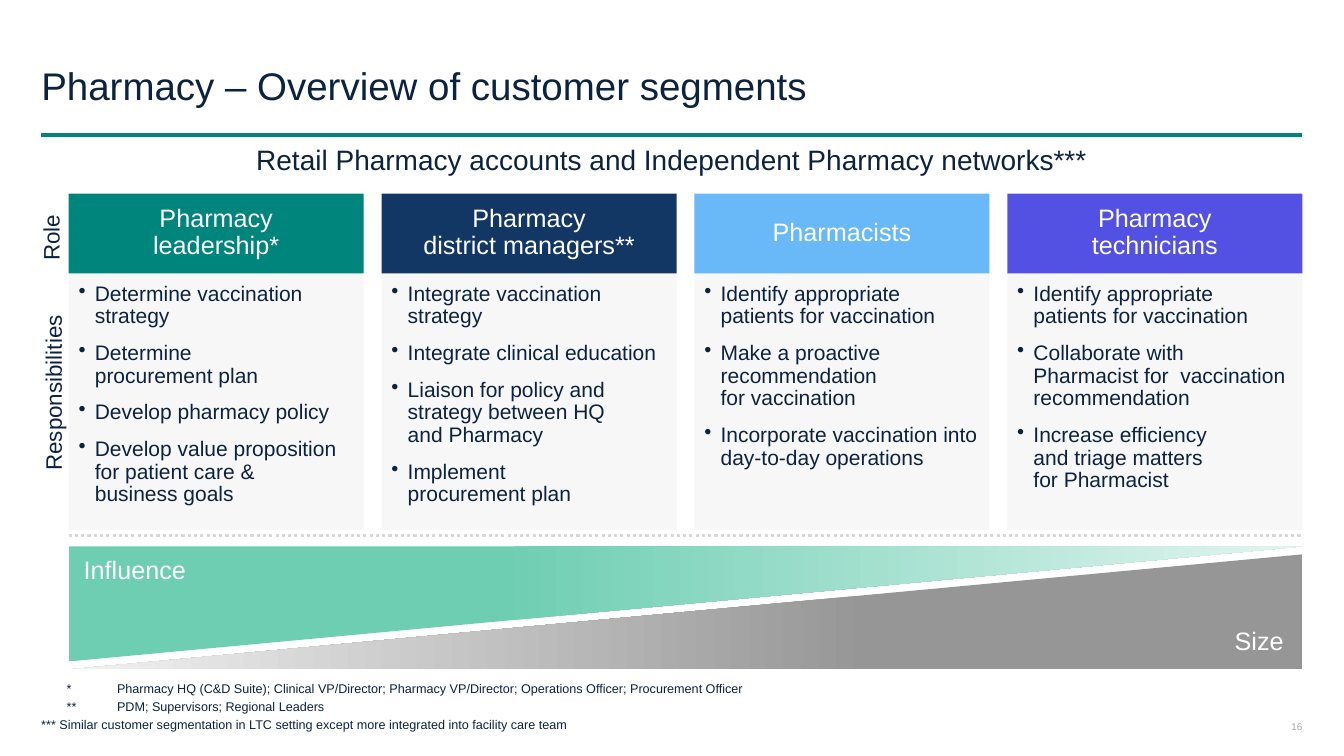
import copy
import pptx
import pptx.dml.color
import pptx.enum.dml
import pptx.enum.shapes
import pptx.enum.text
import pptx.oxml
import pptx.oxml.ns
import pptx.util

Cm = pptx.util.Cm
Pt = pptx.util.Pt
Kind = pptx.enum.shapes.MSO_SHAPE
Align = pptx.enum.text.PP_ALIGN
Anchor = pptx.enum.text.MSO_ANCHOR

HUES = {
    "navy": "0C2340", "teal": "00857C", "deep": "133765", "sky": "69B8F7",
    "violet": "5350E4", "pale": "F7F7F7", "white": "FFFFFF", "dots": "D9D9D9",
    "mint": "6ECEB2", "haze": "E2F5F0", "gray": "969696", "mist": "F2F2F2",
    "page": "9EA7B3",
}

CARDS = [
    ("Pharmacy\nleadership*", "teal", [
        "Determine vaccination strategy",
        "Determine \nprocurement plan",
        "Develop pharmacy policy",
        "Develop value proposition for patient care & \nbusiness goals",
    ]),
    ("Pharmacy\ndistrict managers**", "deep", [
        "Integrate vaccination strategy",
        "Integrate clinical education",
        "Liaison for policy and strategy between HQ \nand Pharmacy",
        "Implement \nprocurement plan",
    ]),
    ("Pharmacists", "sky", [
        "Identify appropriate patients for vaccination",
        "Make a proactive recommendation \nfor vaccination",
        "Incorporate vaccination into day-to-day operations",
    ]),
    ("Pharmacy\ntechnicians", "violet", [
        "Identify appropriate patients for vaccination",
        "Collaborate with Pharmacist for  vaccination recommendation",
        "Increase efficiency \nand triage matters \nfor Pharmacist",
    ]),
]

NOTES = [
    "\t*\tPharmacy HQ (C&D Suite); Clinical VP/Director; Pharmacy VP/Director; "
    "Operations Officer; Procurement Officer",
    "\t**\tPDM; Supervisors; Regional Leaders",
    "*** Similar customer segmentation in LTC setting except more integrated "
    "into facility care team",
]


def tint(name):
    return pptx.dml.color.RGBColor.from_string(HUES[name])


def apply(item, values):
    for name, value in values.items():
        setattr(item, name, value)


class Deck:
    font = "Arial"

    def __init__(self, wide, high):
        self.file = pptx.Presentation()
        apply(self.file, {"slide_width": Cm(wide), "slide_height": Cm(high)})
        self.slide = self.file.slides.add_slide(self.file.slide_layouts[5])
        self.shapes = self.slide.shapes

    def label(self, shape, lines, size, hue="navy", align=Align.LEFT,
              anchor=Anchor.MIDDLE, pad=(0, 0, 0, 0), lead=0.9, gap=0,
              hang=0, mark=None):
        frame = shape.text_frame
        left, top, right, base = map(Cm, pad)
        apply(frame, {
            "word_wrap": True, "auto_size": pptx.enum.text.MSO_AUTO_SIZE.NONE,
            "vertical_anchor": anchor, "margin_left": left,
            "margin_top": top, "margin_right": right, "margin_bottom": base,
        })
        for index, line in enumerate(lines):
            para = frame.add_paragraph() if index else frame.paragraphs[0]
            para.text = line
            props = para._p.get_or_add_pPr()
            if hang:
                props.set("marL", str(Cm(hang)))
                props.set("indent", str(-Cm(hang)))
            if mark:
                bullet = pptx.oxml.ns.qn("a:buChar")
                props.append(props.makeelement(bullet, {"char": mark}))
            apply(para, {"alignment": align, "line_spacing": lead,
                         "space_before": Pt(gap if index else 0)})
            for run in para.runs:
                apply(run.font, {"name": self.font, "size": Pt(size)})
                run.font.color.rgb = tint(hue)
            for stop in para._p.iterfind(pptx.oxml.ns.qn("a:br")):
                stop.append(copy.deepcopy(para.runs[0]._r.rPr))

    def title(self, box, line, size):
        shape = self.shapes.title
        apply(shape, dict(zip(("left", "top", "width", "height"), map(Cm, box))))
        self.label(shape, [line], size)

    def text(self, box, lines, size, turn=0, **style):
        shape = self.shapes.add_textbox(*map(Cm, box))
        shape.rotation = turn
        self.label(shape, lines, size, **style)

    def shape(self, kind, box):
        shape = self.shapes.add_shape(kind, *map(Cm, box))
        shape.shadow.inherit = False
        shape.line.fill.background()
        return shape

    def block(self, box, fill, lines, size, **style):
        shape = self.shape(Kind.RECTANGLE, box)
        shape.fill.solid()
        shape.fill.fore_color.rgb = tint(fill)
        self.label(shape, lines, size, **style)

    def wedge(self, box, hues, turn):
        shape = self.shape(Kind.RIGHT_TRIANGLE, box)
        shape.rotation = turn
        shape._element.spPr.xfrm.set("flipV", "1")
        shape.fill.gradient()
        shape.fill.gradient_angle = 0
        for stop, spot, hue in zip(shape.fill.gradient_stops, (0.35, 1), hues):
            stop.position = spot
            stop.color.rgb = tint(hue)

    def rule(self, left, right, top, hue, width, dash=None):
        line = self.shapes.add_connector(
            pptx.enum.shapes.MSO_CONNECTOR.STRAIGHT,
            Cm(left), Cm(top), Cm(right), Cm(top))
        line.line.color.rgb = tint(hue)
        apply(line.line, {"width": Pt(width), "dash_style": dash})
        props = line._element.spPr
        props.append(props.makeelement(pptx.oxml.ns.qn("a:effectLst"), {}))


def main():
    deck = Deck(33.87, 19.05)
    edge, left, right, gap = 1.04, 1.73, 32.82, 0.45
    full = right - edge
    span = right - left
    wide = (span - gap * (len(CARDS) - 1)) / len(CARDS)

    deck.title((edge, 1.04, full, 2.36), "Pharmacy – Overview of customer segments", 27.5)
    deck.rule(edge, right, 3.4, "teal", 2.5)
    deck.text((edge, 3.71, full, 1.09),
              ["Retail Pharmacy accounts and Independent Pharmacy networks***"],
              20, align=Align.CENTER, anchor=Anchor.TOP, lead=0.85)

    for index, (role, hue, tasks) in enumerate(CARDS):
        x = left + index * (wide + gap)
        deck.block((x, 6.88, wide, 6.48), "pale", tasks, 15, anchor=Anchor.TOP,
                   pad=(0.25, 0.25, 0.25, 0.25), gap=10, hang=0.41, mark="•")
        deck.block((x, 4.88, wide, 2.01), hue, [role], 18, hue="white",
                   align=Align.CENTER, pad=(0.25, 0.13, 0.25, 0.15))

    inset = (0.18, 0.18, 0.18, 0.18)
    for name, box in (("Role", (0.43, 5.74, 1.78, 0.51)),
                      ("Responsibilities", (-1.09, 9.58, 4.93, 0.64))):
        deck.text(box, [name], 16, turn=270, align=Align.CENTER, pad=inset)

    deck.rule(left, right, 13.49, "dots", 2.25,
              pptx.enum.dml.MSO_LINE.ROUND_DOT)
    for top, hues, turn in ((13.77, ("mint", "haze"), 0),
                            (13.97, ("gray", "mist"), 180)):
        deck.wedge((left, top, span, 2.9), hues, turn)
    for name, x, y, align in (("Influence", 1.93, 13.87, Align.LEFT),
                              ("Size", 29.46, 15.65, Align.RIGHT)):
        deck.text((x, y, 3.07, 1.07), [name], 18, hue="white", align=align, pad=inset)

    deck.text((edge, 17.02, 27.81, 1.42), NOTES, 9, anchor=Anchor.BOTTOM,
              gap=3, hang=0.64)
    deck.text((32.18, 18.01, 0.64, 0.61), ["16"], 7, hue="page",
              align=Align.RIGHT, lead=1)
    deck.file.save("out.pptx")


if __name__ == "__main__":
    main()
